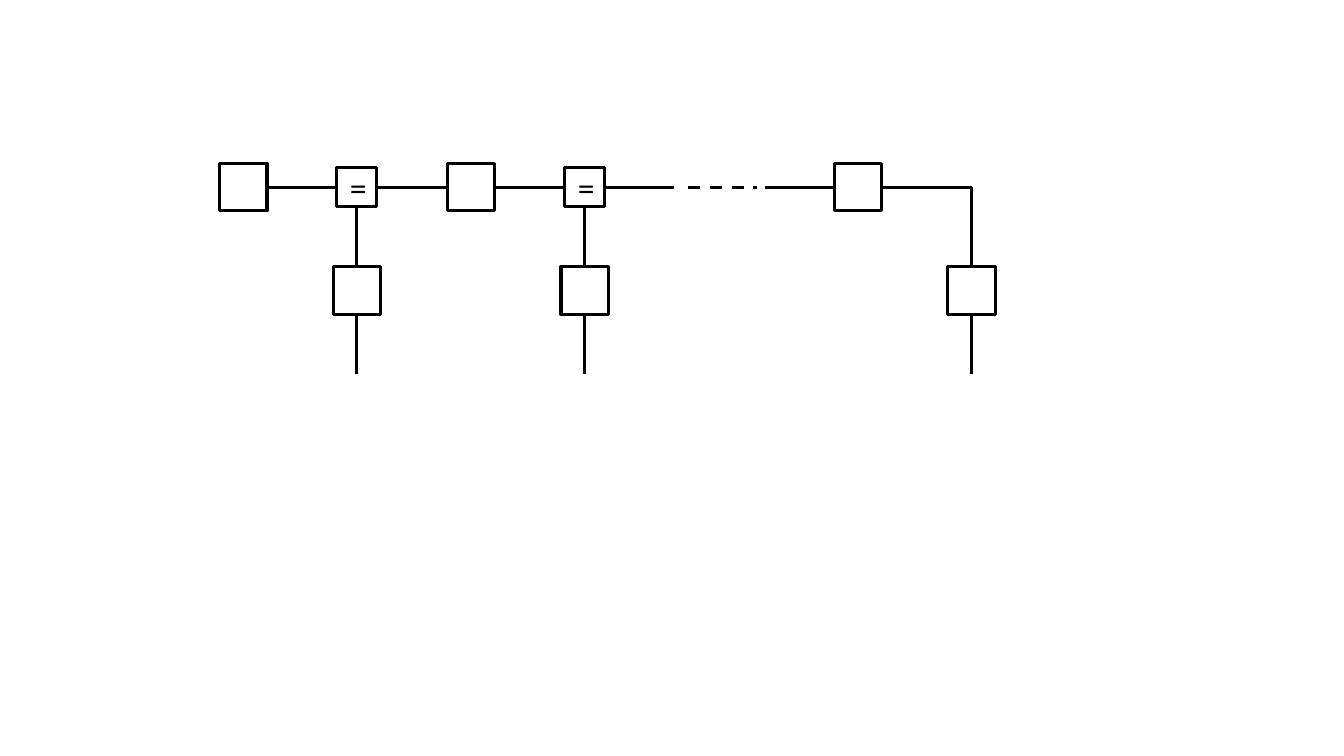
from pptx import Presentation
from pptx import util as u
from pptx.dml.color import RGBColor
from pptx.enum import dml, shapes, text
from pptx.oxml import ns
from lxml import etree

Pt = u.Pt
INK, PAPER = "000000", "FFFFFF"
SIDE = 33.9           # square box
EQ_W, EQ_H = 28.4, 27.6
ROW, LOW, END = 133.7, 207.6, 267.5   # chain, lower boxes, open ends
STEP = 81.1           # box centre to branch centre
WIRE = 49.8


def color(code):
    return RGBColor.from_string(code)


class Pen:
    def __init__(self, slide, font="Calibri", size=24, width=2.25):
        self.shapes = slide.shapes
        self.font, self.size, self.width = font, size, width

    def edge(self, item):
        item.line.color.rgb = color(INK)
        item.line.width = Pt(self.width)

    def box(self, x, y, w=SIDE, h=SIDE):
        """Draw a box centred on x, y."""
        box = self.shapes.add_shape(shapes.MSO_SHAPE.RECTANGLE,
                                    Pt(x - w / 2), Pt(y - h / 2), Pt(w), Pt(h))
        box.shadow.inherit = False
        box.fill.solid()
        box.fill.fore_color.rgb = color(PAPER)
        self.edge(box)

    def wire(self, x1, y1, x2, y2, dash=False, bent=False):
        kind = shapes.MSO_CONNECTOR.ELBOW if bent else shapes.MSO_CONNECTOR.STRAIGHT
        wire = self.shapes.add_connector(kind, Pt(x1), Pt(y1), Pt(x2), Pt(y2))
        self.edge(wire)
        if dash:
            wire.line.dash_style = dml.MSO_LINE.DASH
        props = wire._element.spPr
        if bent:
            props.find(ns.qn("a:prstGeom")).set("prst", "bentConnector2")
        etree.SubElement(props, ns.qn("a:effectLst"))

    def label(self, words, x, y, w, h):
        area = self.shapes.add_textbox(Pt(x), Pt(y), Pt(w), Pt(h))
        frame = area.text_frame
        frame.word_wrap = True
        frame.auto_size = text.MSO_AUTO_SIZE.SHAPE_TO_FIT_TEXT
        line = frame.paragraphs[0]
        line.text = words
        line.font.name, line.font.size = self.font, Pt(self.size)
        line.font.color.rgb = color(INK)

    def branch(self, x):
        """Draw a lower box with its open end."""
        self.box(x, LOW)
        self.wire(x, LOW + SIDE / 2, x, END)

    def cell(self, x):
        """Draw a box, its equality node and the branch below."""
        node = x + STEP
        left, right = node - EQ_W / 2, node + EQ_W / 2
        self.box(x, ROW)
        self.box(node, ROW, EQ_W, EQ_H)
        self.label("=", node - 12, ROW - 18, 34, 36)
        self.wire(x + SIDE / 2, ROW, left, ROW)
        self.wire(right, ROW, right + WIRE, ROW)
        self.wire(node, ROW + EQ_H / 2, node, LOW - SIDE / 2)
        self.branch(node)

    def tail(self, x):
        """Draw the last box, bending down to its branch."""
        left, right = x - SIDE / 2, x + SIDE / 2
        self.box(x, ROW)
        self.branch(x + STEP)
        self.wire(left - WIRE, ROW, left, ROW)
        self.wire(right, ROW, x + STEP, LOW - SIDE / 2, bent=True)


def main():
    deck = Presentation()
    deck.slide_width, deck.slide_height = Pt(960), Pt(540)
    pen = Pen(deck.slides.add_slide(deck.slide_layouts[6]))
    for x in (173.8, 336.6):
        pen.cell(x)
    pen.wire(491.2, ROW, 491.2 + WIRE, ROW, dash=True)
    pen.tail(612.9)
    deck.save("out.pptx")


if __name__ == "__main__":
    main()
